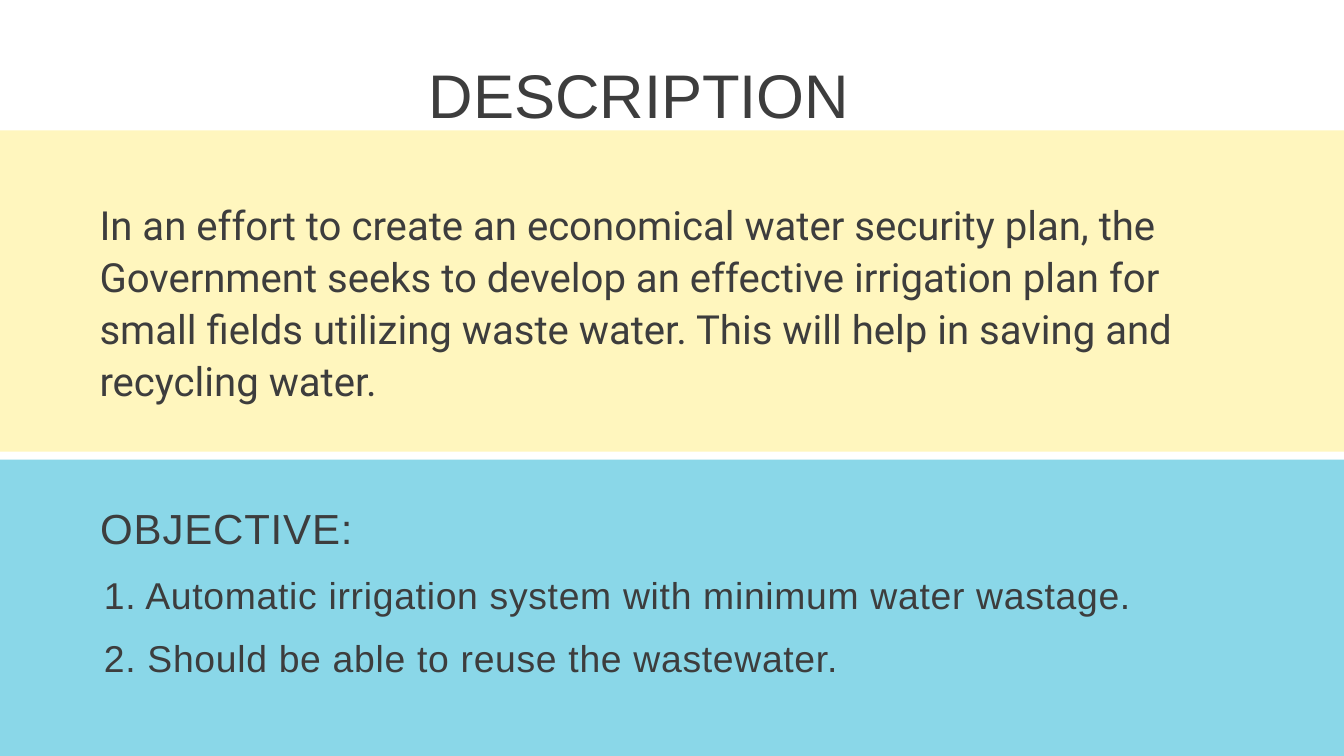
from dataclasses import dataclass

from pptx import Presentation
from pptx import util as u
from pptx.dml.color import RGBColor
from pptx.enum import shapes, text


@dataclass(frozen=True)
class Theme:
    ink: RGBColor = RGBColor(0x3D, 0x3D, 0x3D)
    cream: RGBColor = RGBColor(0xFF, 0xF6, 0xBE)
    aqua: RGBColor = RGBColor(0x8A, 0xD7, 0xE8)
    title: int = 66
    heading: int = 45
    body: int = 43
    item: int = 40


theme = Theme()
WIDTH, HEIGHT = 1440, 810


def add_band(page, top, height, color):
    band = page.shapes.add_shape(
        shapes.MSO_SHAPE.RECTANGLE, 0, u.Pt(top), u.Pt(WIDTH), u.Pt(height))
    band.shadow.inherit = False
    band.fill.solid()
    band.fill.fore_color.rgb = color
    band.line.fill.background()


def add_text(page, words, place, size, leading, font="Arial",
             align=text.PP_ALIGN.LEFT, tracking=0):
    """Place one paragraph; tracking is in points."""
    box = page.shapes.add_textbox(*map(u.Pt, place))
    frame = box.text_frame
    frame.word_wrap = True
    frame.auto_size = text.MSO_AUTO_SIZE.SHAPE_TO_FIT_TEXT
    frame.margin_left = frame.margin_right = 0
    frame.margin_top = frame.margin_bottom = 0
    para = frame.paragraphs[0]
    para.alignment = align
    para.line_spacing = u.Pt(leading)
    span = para.add_run()
    span.text = words
    span.font.name = font
    span.font.size = u.Pt(size)
    span.font.color.rgb = theme.ink
    if tracking:
        span.font._element.set("spc", str(round(tracking * 100)))


deck = Presentation()
deck.slide_width, deck.slide_height = u.Pt(WIDTH), u.Pt(HEIGHT)
page = deck.slides.add_slide(deck.slide_layouts[6])

# Background bands
add_band(page, 139.7, 344.2, theme.cream)
add_band(page, 492.5, HEIGHT - 492.5, theme.aqua)

# Title and description
add_text(page, "DESCRIPTION", (80.6, 60.5, 1208.2, 79.2), theme.title, 79.2,
         align=text.PP_ALIGN.CENTER)
add_text(page,
         "In an effort to create an economical water security plan, the "
         "Government seeks to develop an effective irrigation plan for small "
         "fields utilizing waste water. This will help in saving and "
         "recycling water.",
         (106.6, 210.2, 1224.7, 223.6), theme.body, 55.9, font="Roboto")

# Objective heading and its items
add_text(page, "OBJECTIVE:", (107.4, 533.5, 1212, 58.5), theme.heading, 58.5,
         tracking=0.9)
items = ["1. Automatic irrigation system with minimum water wastage.",
         "2. Should be able to reuse the wastewater."]
for row, item in enumerate(items):
    add_text(page, item, (111.3, 609.1 + row * 67, 1212, 52), theme.item, 52,
             tracking=0.8)

deck.save("out.pptx")
